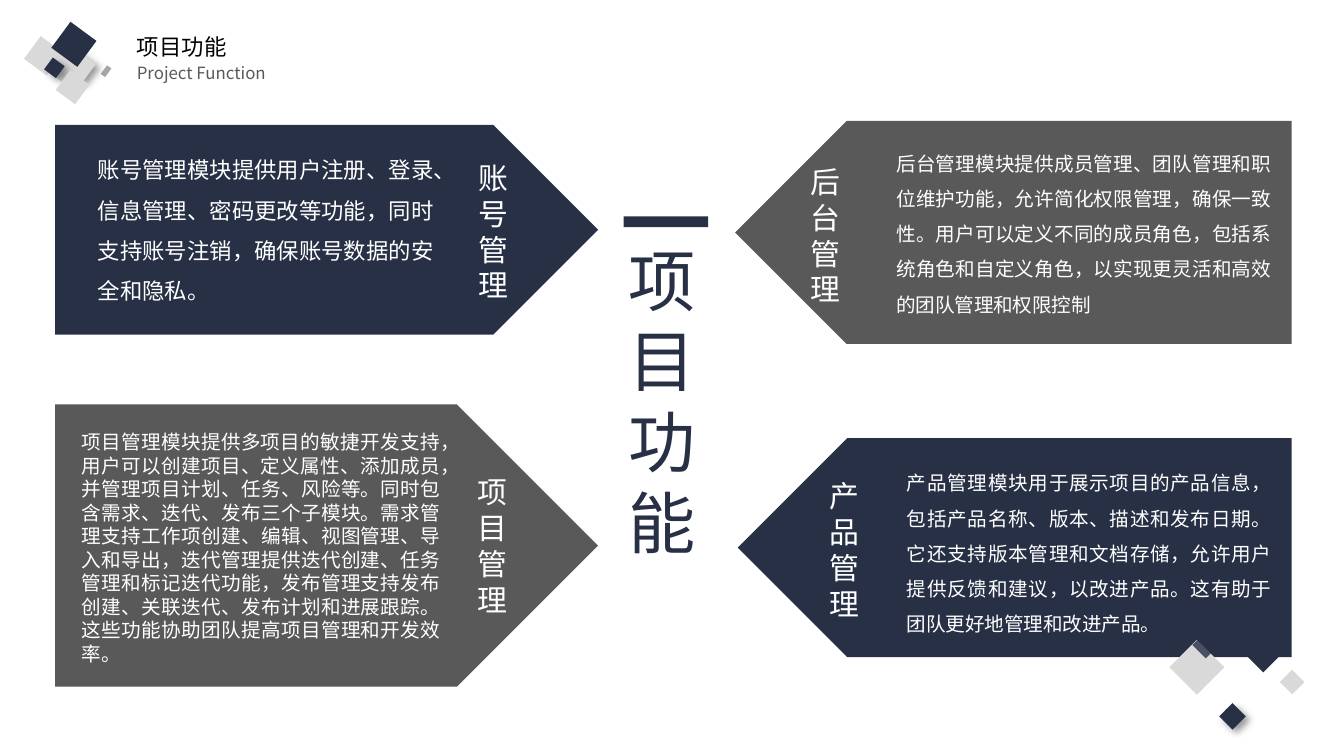
from lxml import etree
from pptx import Presentation
from pptx import util as u
from pptx.dml.color import RGBColor
from pptx.enum import shapes, text
from pptx.oxml.ns import qn

PX = 9144  # 100 px to the inch
FONT = "Noto Sans CJK SC"
COLORS = {
    "navy": "273045",
    "gray": "595959",
    "silver": "A6A6A6",
    "light": "D9D9D9",
    "white": "FFFFFF",
    "black": "000000",
}
LEFT, CENTER, JUSTIFY = text.PP_ALIGN.LEFT, text.PP_ALIGN.CENTER, text.PP_ALIGN.JUSTIFY

# flag frame, colour, points left, label, label frame, body, body frame, size, spacing, alignment
MODULES = [
    ((41, 93, 404, 156), "navy", False, "账号管理", (338, 106, 58, 132),
     "账号管理模块提供用户注册、登录、信息管理、密码更改等功能，同时支持账号注销，"
     "确保账号数据的安全和隐私。",
     (63, 103, 270, 127), 12, 1.5, LEFT),
    ((41, 301, 404, 210), "gray", False, "项目管理", (317, 312, 99, 188),
     "项目管理模块提供多项目的敏捷开发支持，用户可以创建项目、定义属性、添加成员，"
     "并管理项目计划、任务、风险等。同时包含需求、迭代、发布三个子模块。"
     "需求管理支持工作项创建、编辑、视图管理、导入和导出，"
     "迭代管理提供迭代创建、任务管理和标记迭代功能，"
     "发布管理支持发布创建、关联迭代、发布计划和进展跟踪。"
     "这些功能协助团队提高项目管理和开发效率。",
     (51, 311, 287, 193), 10.5, 1, JUSTIFY),
    ((547, 90, 414, 166), "gray", True, "后台管理", (593, 104, 40, 142),
     "后台管理模块提供成员管理、团队管理和职位维护功能，允许简化权限管理，确保一致性。"
     "用户可以定义不同的成员角色，包括系统角色和自定义角色，"
     "以实现更灵活和高效的团队管理和权限控制",
     (657, 82, 299, 175), 10.5, 1.5, JUSTIFY),
    ((549, 326, 412, 163), "navy", True, "产品管理", (578, 334, 101, 150),
     "产品管理模块用于展示项目的产品信息，包括产品名称、版本、描述和发布日期。"
     "它还支持版本管理和文档存储，允许用户提供反馈和建议，以改进产品。"
     "这有助于团队更好地管理和改进产品。",
     (665, 336, 291, 143), 10.5, 1.5, JUSTIFY),
]

# frame, colour, rotation, shadow, opacity in percent
TILES = [
    ((75, 51, 8, 4), "silver", 306.4, False, 100),
    ((22, 31, 21, 21), "light", 306.4, False, 100),
    ((51, 41, 17, 17), "light", 306.4, True, 100),
    ((44, 38, 11, 11), "light", 306.4, False, 100),
    ((37, 40, 19, 19), "light", 306.4, False, 100),
    ((35, 45, 11, 11), "navy", 306.4, True, 100),
    ((43, 21, 24, 24), "navy", 306.4, False, 100),
    ((45, 56, 18, 18), "light", 306.4, False, 100),
    ((932, 481, 16, 16), "navy", 315, False, 100),
    ((955, 501, 13, 13), "light", 315, False, 100),
    ((876, 482, 29, 29), "light", 135, False, 100),
    ((910, 526, 14, 14), "navy", 135, True, 100),
    ((890, 473, 14, 14), "navy", 135, False, 80),
]


def emu(frame):
    return [length * PX for length in frame]


def rgb(color):
    return RGBColor.from_string(COLORS[color])


def add_solid(page, kind, frame, color):
    shape = page.shapes.add_shape(kind, *emu(frame))
    shape.shadow.inherit = False
    shape.fill.solid()
    shape.fill.fore_color.rgb = rgb(color)
    shape.line.fill.background()
    return shape


def add_alpha(color_element, percent):
    etree.SubElement(color_element, qn("a:alpha"), val=str(percent * 1000))


def add_shadow(shape):
    """Drop a soft shadow to the lower right."""
    effects = shape._element.spPr.find(qn("a:effectLst"))
    outer = etree.SubElement(
        effects, qn("a:outerShdw"), blurRad=str(u.Pt(4)), dist=str(u.Pt(3)),
        dir=str(45 * 60000), algn="tl", rotWithShape="0")
    add_alpha(etree.SubElement(outer, qn("a:srgbClr"), val=COLORS["black"]), 40)


def add_tile(page, frame, color, rotation, shadow, opacity):
    tile = add_solid(page, shapes.MSO_SHAPE.RECTANGLE, frame, color)
    tile.rotation = rotation
    if shadow:
        add_shadow(tile)
    if opacity < 100:
        add_alpha(tile._element.spPr.find(".//" + qn("a:srgbClr")), opacity)


def add_flag(page, frame, color, points_left):
    flag = add_solid(page, shapes.MSO_SHAPE.PENTAGON, frame, color)
    if points_left:
        flag._element.spPr.find(qn("a:xfrm")).set("flipH", "1")


def add_text(page, frame, lines, size, color, align=LEFT, spacing=1,
             wrap=False, anchor=text.MSO_ANCHOR.TOP):
    box = page.shapes.add_textbox(*emu(frame)).text_frame
    box.word_wrap = wrap
    box.vertical_anchor = anchor
    box.text = "\n".join(lines)
    for para in box.paragraphs:
        para.alignment = align
        para.line_spacing = spacing
        para.font.size = u.Pt(size)
        para.font.color.rgb = rgb(color)
        para.font.name = FONT
        etree.SubElement(para.font._element, qn("a:ea"), typeface=FONT)


def add_module(page, frame, color, points_left, label, label_frame,
               body, body_frame, size, spacing, align):
    middle = text.MSO_ANCHOR.MIDDLE
    add_flag(page, frame, color, points_left)
    add_text(page, label_frame, label, 16, "white", CENTER, anchor=middle)
    add_text(page, body_frame, [body], size, "white", align, spacing, True, middle)


def main():
    deck = Presentation()
    deck.slide_width = 1000 * PX
    deck.slide_height = deck.slide_width * 9 // 16
    page = deck.slides.add_slide(deck.slide_layouts[6])

    for module in MODULES:
        add_module(page, *module)
    for tile in TILES:
        add_tile(page, *tile)

    add_text(page, (92, 20, 88, 30), ["项目功能"], 12, "black")
    add_text(page, (92, 42, 118, 25), ["Project Function"], 9, "gray")
    add_solid(page, shapes.MSO_SHAPE.RECTANGLE, (464, 161, 63, 8), "navy")
    add_text(page, (458, 173, 74, 252), ["项目功能"], 36, "navy", wrap=True)

    deck.save("out.pptx")


if __name__ == "__main__":
    main()
